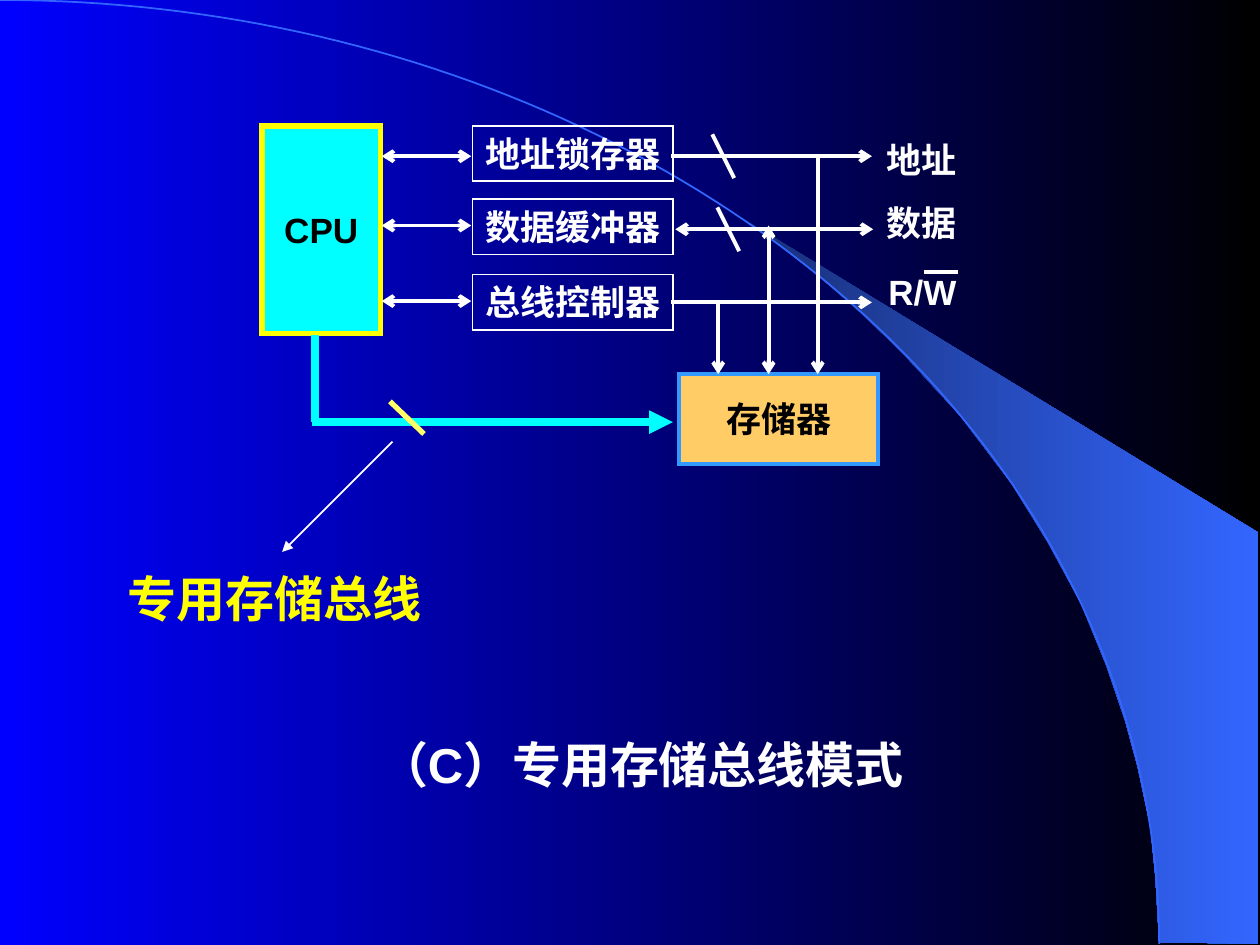
from math import cos, pi, sin

from lxml.etree import SubElement
from pptx import Presentation
from pptx.dml.color import RGBColor
from pptx.enum.shapes import MSO_CONNECTOR, MSO_SHAPE
from pptx.enum.text import MSO_ANCHOR, MSO_AUTO_SIZE, PP_ALIGN
from pptx.oxml.ns import qn
from pptx.util import Inches, Pt

WHITE, BLACK, YELLOW, CYAN = "FFFFFF", "000000", "FFFF00", "00FFFF"
BLUE = "3366FF"
WEDGE = [
    (9.2, 7.48), (9.99, 7.49), (9.99, 4.23), (5.89, 1.73), (6.24, 1.99),
    (6.53, 2.22), (6.85, 2.5), (7.16, 2.8), (7.62, 3.3), (8.03, 3.84),
    (8.32, 4.31), (8.58, 4.79), (8.78, 5.28), (8.93, 5.72), (9.03, 6.09),
    (9.13, 6.56), (9.17, 6.96),
]


def color(value):
    return RGBColor.from_string(value)


def fill_gradient(fill, start, end):
    """Blend from start on the left to end on the right."""
    fill.gradient()
    fill.gradient_angle = 0
    for stop, position, value in zip(fill.gradient_stops, (0, 1), (start, end)):
        stop.position = position
        stop.color.rgb = color(value)


def set_line(shape, value, width):
    """Set colour and width with sharp corners; return the line's XML."""
    shape.line.color.rgb = color(value)
    shape.line.width = Pt(width)
    outline = shape.line._get_or_add_ln()
    SubElement(outline, qn("a:miter"), lim="800000")
    return outline


def add_outline(slide, points, close):
    points = [(Inches(x), Inches(y)) for x, y in points]
    builder = slide.shapes.build_freeform(*points[0])
    builder.add_line_segments(points[1:], close=close)
    shape = builder.convert_to_shape()
    shape.shadow.inherit = False
    return shape


def add_backdrop(slide):
    fill_gradient(slide.background.fill, "0000FF", BLACK)
    wedge = add_outline(slide, WEDGE, close=True)
    fill_gradient(wedge.fill, "182F76", BLUE)
    wedge.line.fill.background()

    steps = 90
    angles = [pi / 2 * step / steps for step in range(steps + 1)]
    arc_points = [(9.2 * sin(angle), 7.49 * (1 - cos(angle))) for angle in angles]
    arc = add_outline(slide, arc_points, close=False)
    arc.fill.background()
    set_line(arc, BLUE, 1)


def write(shape, text, size, value, align):
    frame = shape.text_frame
    frame.word_wrap = False
    frame.text = text
    para = frame.paragraphs[0]
    para.alignment = align
    font = para.runs[0].font
    font.name, font.size, font.bold = "Arial", Pt(size), True
    font.color.rgb = color(value)
    return frame


def add_label(slide, text, left, top, width, height, size=20, value=WHITE):
    box = slide.shapes.add_textbox(*map(Inches, (left, top, width, height)))
    frame = write(box, text, size, value, PP_ALIGN.RIGHT)
    frame.auto_size = MSO_AUTO_SIZE.SHAPE_TO_FIT_TEXT


def add_box(slide, text, left, top, width, height, line, line_width, fill=None):
    """Filled boxes hold centred black text, hollow ones white text."""
    box = slide.shapes.add_shape(
        MSO_SHAPE.RECTANGLE, *map(Inches, (left, top, width, height)))
    box.shadow.inherit = False
    set_line(box, line, line_width)
    if fill:
        box.fill.solid()
        box.fill.fore_color.rgb = color(fill)
        frame = write(box, text, 20, BLACK, PP_ALIGN.CENTER)
        frame.vertical_anchor = MSO_ANCHOR.MIDDLE
    else:
        box.fill.background()
        frame = write(box, text, 20, WHITE, PP_ALIGN.RIGHT)
        frame.vertical_anchor = MSO_ANCHOR.TOP
        frame.auto_size = MSO_AUTO_SIZE.SHAPE_TO_FIT_TEXT


def add_line(slide, start, end, head=None, tail=None, value=WHITE, width=2.25):
    """Draw a line; head is the arrowhead at start, tail the one at end."""
    line = slide.shapes.add_connector(
        MSO_CONNECTOR.STRAIGHT, *map(Inches, (*start, *end)))
    outline = set_line(line, value, width)
    outline.set("cap", "sq")
    for tag, kind in (("a:headEnd", head), ("a:tailEnd", tail)):
        if kind:
            SubElement(outline, qn(tag), type=kind)
    SubElement(line._element.spPr, qn("a:effectLst"))


def add_units(slide):
    add_box(slide, "CPU", 2.08, 1, 0.94, 1.65, YELLOW, 3, CYAN)
    add_box(slide, "存储器", 5.39, 2.97, 1.58, 0.71, "3399FF", 2.25, "FFCC66")
    units = [("地址锁存器", 1, 1.24), ("数据缓冲器", 1.58, 1.79),
             ("总线控制器", 2.18, 2.39)]
    for text, top, arrow_y in units:
        add_box(slide, text, 3.75, top, 1.59, 0.44, WHITE, 1)
        add_line(slide, (3.03, arrow_y), (3.74, arrow_y), "arrow", "arrow")


def add_system_bus(slide):
    for left, right, y, head in [(5.34, 6.92, 1.24, None),
                                 (5.36, 6.93, 1.82, "arrow"),
                                 (5.34, 6.92, 2.4, None)]:
        add_line(slide, (left, y), (right, y), head, "arrow")
    for x, y in [(5.66, 1.08), (5.7, 1.66)]:
        add_line(slide, (x, y), (x + 0.16, y + 0.32))
    for x, top, head in [(5.7, 2.42, None), (6.1, 1.79, "arrow"),
                         (6.49, 1.24, None)]:
        add_line(slide, (x, top), (x, 2.97), head, "arrow")
    for text, top in [("地址", 1.05), ("数据", 1.55), ("R/W", 2.1)]:
        add_label(slide, text, 6.91, top, 0.78, 0.44)
    add_line(slide, (7.35, 2.16), (7.59, 2.16))


def add_memory_bus(slide):
    add_line(slide, (2.5, 2.69), (2.5, 3.32), value=CYAN, width=4.5)
    add_line(slide, (2.51, 3.35), (5.34, 3.35), tail="triangle",
             value=CYAN, width=4.5)
    add_line(slide, (3.11, 3.51), (2.24, 4.38), tail="triangle", width=1)
    add_line(slide, (3.11, 3.2), (3.35, 3.43), value="FFFF66", width=3)
    add_label(slide, "专用存储总线", 0.91, 4.46, 2.53, 0.57, 28, YELLOW)


def main():
    deck = Presentation()
    deck.slide_width, deck.slide_height = Inches(10), Inches(7.5)
    page = deck.slides.add_slide(deck.slide_layouts[6])
    add_backdrop(page)
    add_units(page)
    add_system_bus(page)
    add_memory_bus(page)
    add_label(page, "（C）专用存储总线模式", 2.72, 5.78, 4.55, 0.57, 28)
    deck.save("out.pptx")


if __name__ == "__main__":
    main()
